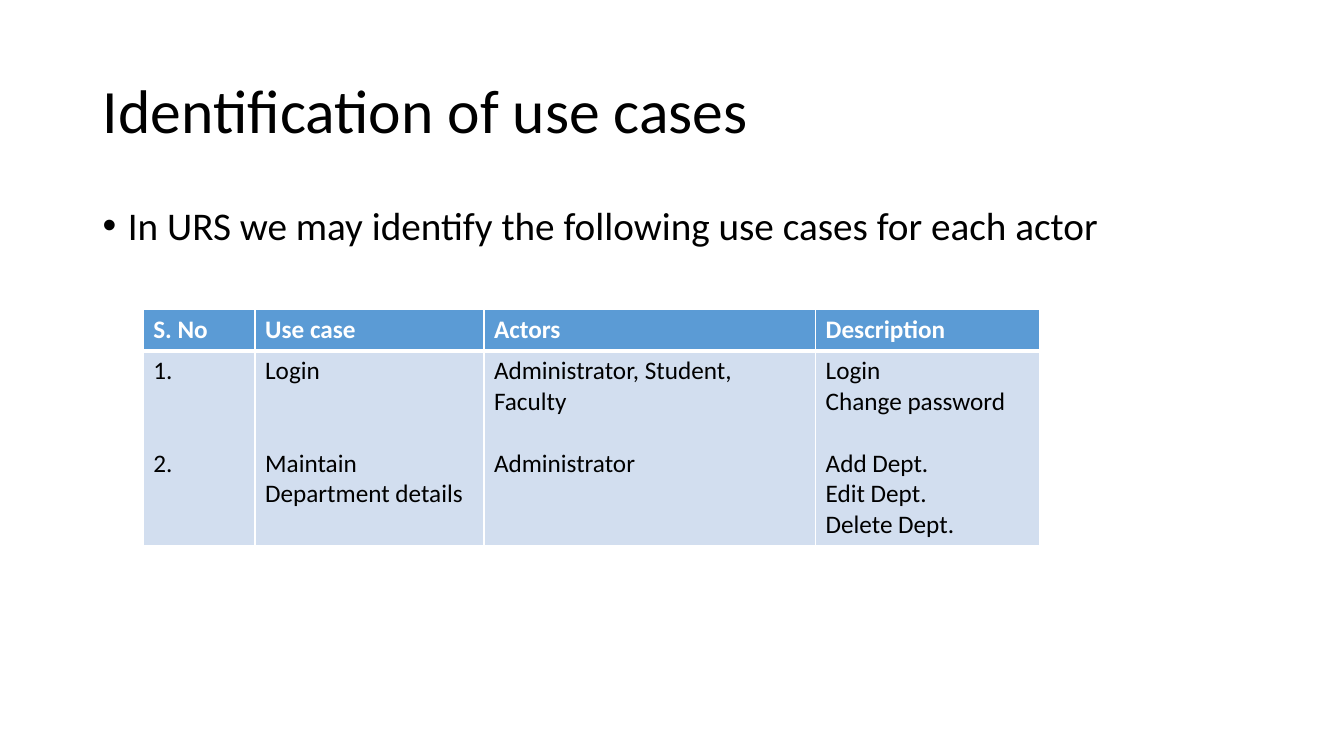
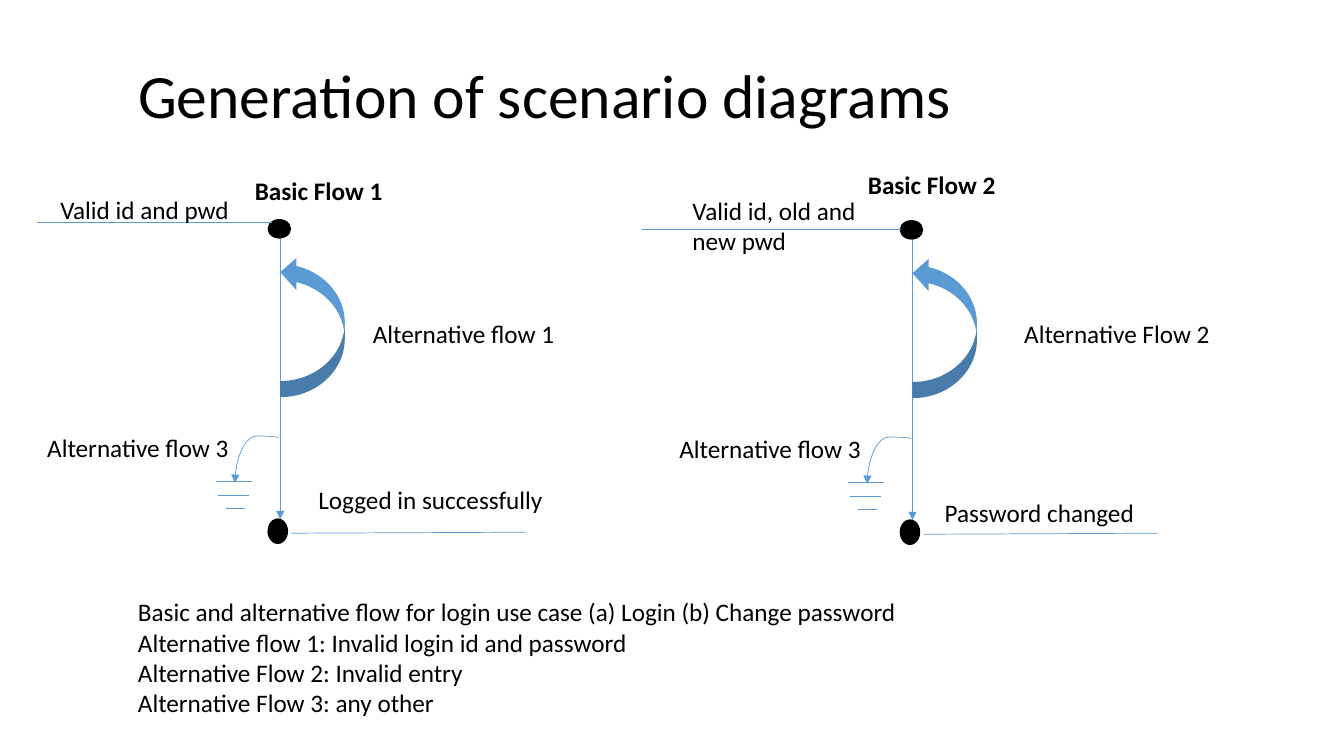
import pptx
import pptx.util
import pptx.dml.color
import pptx.enum.shapes
import pptx.enum.text
import lxml.etree
from pptx.oxml.ns import qn

Inches = pptx.util.Inches
Pt = pptx.util.Pt
RGB = pptx.dml.color.RGBColor.from_string
KIND = pptx.enum.shapes.MSO_CONNECTOR
FORM = pptx.enum.shapes.MSO_SHAPE
ALIGN = pptx.enum.text.PP_ALIGN
ANCHOR = pptx.enum.text.MSO_ANCHOR
HUES = {"ink": "000000", "blue": "5B9BD5", "pale": "D2DEEF", "white": "FFFFFF"}
FONT = "Calibri"
LINE = 22


def write(frame, text, size=18, bold=False, hue="ink"):
    frame.text = text
    frame.word_wrap = True
    for para in frame.paragraphs:
        para.alignment = ALIGN.LEFT
        for run in para.runs:
            run.font.name = FONT
            run.font.size = Pt(size)
            run.font.bold = bold
            run.font.color.rgb = RGB(HUES[hue])


def link(shapes, ends, arrow=False, kind=KIND.STRAIGHT):
    wire = shapes.add_connector(kind, *map(Inches, ends))
    wire.line.color.rgb = RGB(HUES["blue"])
    wire.line.width = Pt(0.5)
    props = wire._element.spPr
    if arrow:
        lxml.etree.SubElement(props.find(qn("a:ln")), qn("a:tailEnd"), type="triangle")
    lxml.etree.SubElement(props, qn("a:effectLst"))
    return wire


deck = pptx.Presentation()
deck.slide_width = Inches(13.33)
deck.slide_height = Inches(7.5)

titles = [
    ("Identification of use cases", (0.92, 0.4, 11.5, 1.45)),
    ("Generation of scenario diagrams", (1.27, 0.43, 11.5, 1.09)),
]
for text, area in titles:
    slide = deck.slides.add_slide(deck.slide_layouts[5])
    title = slide.shapes.title
    title.left, title.top, title.width, title.height = map(Inches, area)
    title.text_frame.vertical_anchor = ANCHOR.MIDDLE
    write(title.text_frame, text, 44)
    title.text_frame.paragraphs[0].line_spacing = 0.9

cases, flows = deck.slides

frame = cases.shapes.add_textbox(*map(Inches, (0.92, 2, 11.5, 0.7))).text_frame
write(frame, "In URS we may identify the following use cases for each actor", 28)
point = frame.paragraphs[0]
point.line_spacing = 0.9
props = point._p.get_or_add_pPr()
props.set("marL", str(Inches(0.25)))
props.set("indent", str(Inches(-0.25)))
lxml.etree.SubElement(props, qn("a:buFont"), typeface="Arial")
lxml.etree.SubElement(props, qn("a:buChar"), char="•")

heads = ["S. No", "Use case", "Actors", "Description"]
body = [
    ("1.\n2.", 1, 2),
    ("Login\nMaintain Department details", 1, 2),
    ("Administrator, Student, Faculty\nAdministrator", 1, 1),
    ("Login\nChange password\nAdd Dept.\nEdit Dept.\nDelete Dept.", 2, 1),
]
table = cases.shapes.add_table(2, 4, *map(Inches, (1.42, 3.07, 8.89, 2.34))).table
table.first_row = True
table.horz_banding = False
for row, tall in zip(table.rows, (0.41, 1.93)):
    row.height = Inches(tall)
for col, wide in enumerate((1.11, 2.27, 3.29, 2.22)):
    table.columns[col].width = Inches(wide)
    text, second, gap = body[col]
    write(table.cell(0, col).text_frame, heads[col], bold=True, hue="white")
    write(table.cell(1, col).text_frame, text)
    table.cell(1, col).text_frame.paragraphs[second].space_before = Pt(gap * LINE)
    for row, fill in enumerate(("blue", "pale")):
        cell = table.cell(row, col)
        props = cell._tc.get_or_add_tcPr()
        inner = "lnT" if row else "lnB"
        for side in ("lnL", "lnR", "lnT", "lnB"):
            width = Pt(3 if side == inner else 1)
            edge = lxml.etree.SubElement(props, qn("a:" + side), w=str(width))
            paint = lxml.etree.SubElement(edge, qn("a:solidFill"))
            lxml.etree.SubElement(paint, qn("a:srgbClr"), val=HUES["white"])
        cell.fill.solid()
        cell.fill.fore_color.rgb = RGB(HUES[fill])

parts = [
    (FORM.FLOWCHART_CONNECTOR, (2.66, 2.18, 0.22, 0.18), "ink", 0),
    (FORM.FLOWCHART_CONNECTOR, (2.66, 5.15, 0.19, 0.24), "ink", 0),
    (FORM.CURVED_UP_ARROW, (2.4, 2.92, 1.4, 0.64), "blue", 270),
]
wires = [
    (2.89, 5.29, 5.21, 5.28),
    (2.14, 4.78, 2.5, 4.78),
    (2.16, 4.91, 2.47, 4.91),
    (2.24, 5.04, 2.43, 5.04),
]
for dx, dy in ((0, 0), (6.27, 0.01)):
    shapes = flows.shapes.add_group_shape().shapes
    link(shapes, (2.78 + dx, 2.36 + dy, 2.78 + dx, 5.15 + dy), arrow=True)
    for form, (left, top, wide, tall), hue, turn in parts:
        shape = shapes.add_shape(form, *map(Inches, (left + dx, top + dy, wide, tall)))
        shape.shadow.inherit = False
        shape.rotation = turn
        shape.fill.solid()
        shape.fill.fore_color.rgb = RGB(HUES[hue])
        if turn:
            shape.line.fill.background()
        else:
            shape.line.color.rgb = RGB(HUES[hue])
            shape.line.width = Pt(1)
    for x1, y1, x2, y2 in wires:
        link(shapes, (x1 + dx, y1 + dy, x2 + dx, y2 + dy))
    ends = (2.32 + dx, 4.35 + dy, 2.77 + dx, 4.78 + dy)
    curve = link(shapes, ends, arrow=True, kind=KIND.CURVE)
    props = curve._element.spPr
    props.find(qn("a:xfrm")).set("rot", "5400000")
    geom = props.find(qn("a:prstGeom"))
    guides = geom.find(qn("a:avLst"))
    if guides is None:
        guides = lxml.etree.SubElement(geom, qn("a:avLst"))
    lxml.etree.SubElement(guides, qn("a:gd"), name="adj1", fmla="val -3300")
    frame = shapes.add_textbox(*map(Inches, (0.37 + dx, 4.24 + dy, 2.06, 0.4))).text_frame
    write(frame, "Alternative flow 3")

link(flows.shapes, (0.37, 2.21, 2.7, 2.21))
link(flows.shapes, (6.37, 2.28, 8.94, 2.28))

notes = "\n".join([
    "Basic and alternative flow for login use case (a) Login (b) Change password",
    "Alternative flow 1: Invalid login id and password",
    "Alternative Flow 2: Invalid entry",
    "Alternative Flow 3: any other",
])
labels = [
    ("Basic Flow 1", (2.43, 1.69, 2.07, 0.4), True),
    ("Valid id and pwd", (0.5, 1.88, 1.97, 0.4), False),
    ("Alternative flow 1", (3.6, 3.11, 2.17, 0.4), False),
    ("Logged in successfully", (3.06, 4.76, 2.56, 0.4), False),
    ("Basic Flow 2", (8.51, 1.63, 1.91, 0.4), True),
    ("Valid id, old and new pwd", (6.77, 1.89, 1.97, 0.71), False),
    ("Alternative Flow 2", (10.06, 3.11, 2.15, 0.4), False),
    ("Password changed", (9.27, 4.88, 2.21, 0.4), False),
    (notes, (1.27, 5.87, 9.16, 1.31), False),
]
for text, area, bold in labels:
    write(flows.shapes.add_textbox(*map(Inches, area)).text_frame, text, bold=bold)

deck.save("out.pptx")
